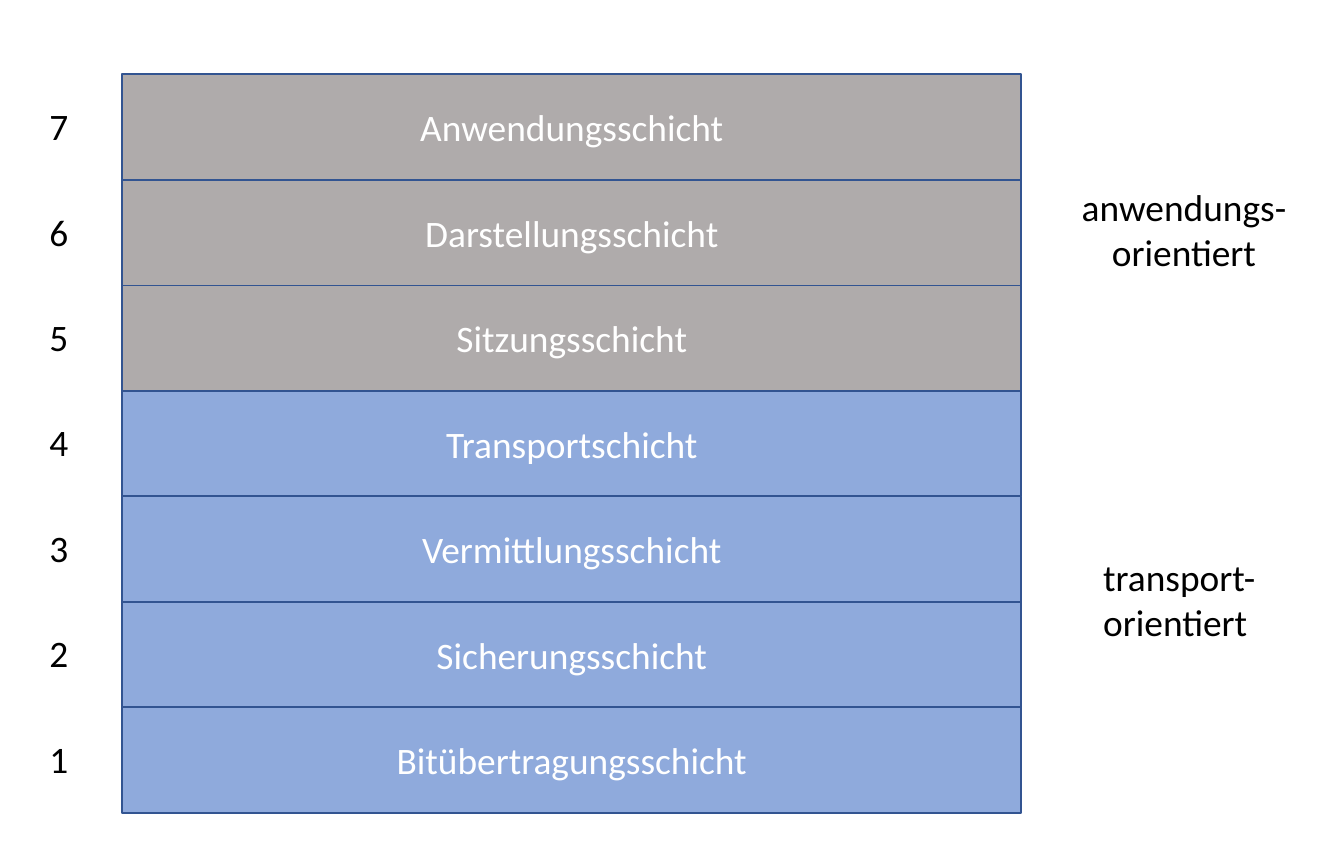
from pptx import Presentation
from pptx.dml.color import RGBColor
from pptx.enum.shapes import MSO_SHAPE
from pptx.enum.text import MSO_ANCHOR, MSO_AUTO_SIZE, PP_ALIGN
from pptx.util import Inches, Pt

RECT = MSO_SHAPE.RECTANGLE
MIDDLE, TOP = MSO_ANCHOR.MIDDLE, MSO_ANCHOR.TOP
LEFT, CENTER = PP_ALIGN.LEFT, PP_ALIGN.CENTER
GROW = MSO_AUTO_SIZE.SHAPE_TO_FIT_TEXT

THEME = {
    "font": "Calibri",
    "size": 20,
    "black": RGBColor.from_string("000000"),
    "white": RGBColor.from_string("FFFFFF"),
    "gray": RGBColor.from_string("AFABAB"),
    "blue": RGBColor.from_string("8FAADC"),
    "edge": RGBColor.from_string("325491"),
}

deck = Presentation()
deck.slide_width, deck.slide_height = Inches(10), Inches(6.32)
slide = deck.slides.add_slide(deck.slide_layouts[6])


def write(shape, text, color="black", align=LEFT, anchor=TOP):
    """Put one formatted paragraph into a shape."""
    frame = shape.text_frame
    frame.word_wrap = True
    frame.vertical_anchor = anchor
    para = frame.paragraphs[0]
    para.alignment = align
    run = para.add_run()
    run.text = text
    run.font.name = THEME["font"]
    run.font.size = Pt(THEME["size"])
    run.font.color.rgb = THEME[color]


def label(text, left, top, width, height, **form):
    """Add a text box that grows with its text."""
    box = slide.shapes.add_textbox(
        Inches(left), Inches(top), Inches(width), Inches(height))
    write(box, text, **form)
    box.text_frame.auto_size = GROW


# Layers from bottom (1) to top (7)
layers = [
    ("Bitübertragungsschicht", "blue"),
    ("Sicherungsschicht", "blue"),
    ("Vermittlungsschicht", "blue"),
    ("Transportschicht", "blue"),
    ("Sitzungsschicht", "gray"),
    ("Darstellungsschicht", "gray"),
    ("Anwendungsschicht", "gray"),
]
base, step = 5.26, 4.71 / 6

for row, (name, fill) in enumerate(layers):
    top = base - row * step
    bar = slide.shapes.add_shape(
        RECT, Inches(0.91), Inches(top), Inches(6.69), Inches(0.79))
    bar.shadow.inherit = False
    bar.fill.solid()
    bar.fill.fore_color.rgb = THEME[fill]
    bar.line.color.rgb = THEME["edge"]
    bar.line.width = Pt(1)
    write(bar, name, color="white", align=CENTER, anchor=MIDDLE)
    label(str(row + 1), 0.27, top + 0.17, 0.44, 0.44)

# Layer groups
label("anwendungs-orientiert", 7.93, 1.32, 1.76, 0.77, align=CENTER)
label("transport-orientiert", 8.11, 4.08, 1.4, 0.77)

deck.save("out.pptx")
